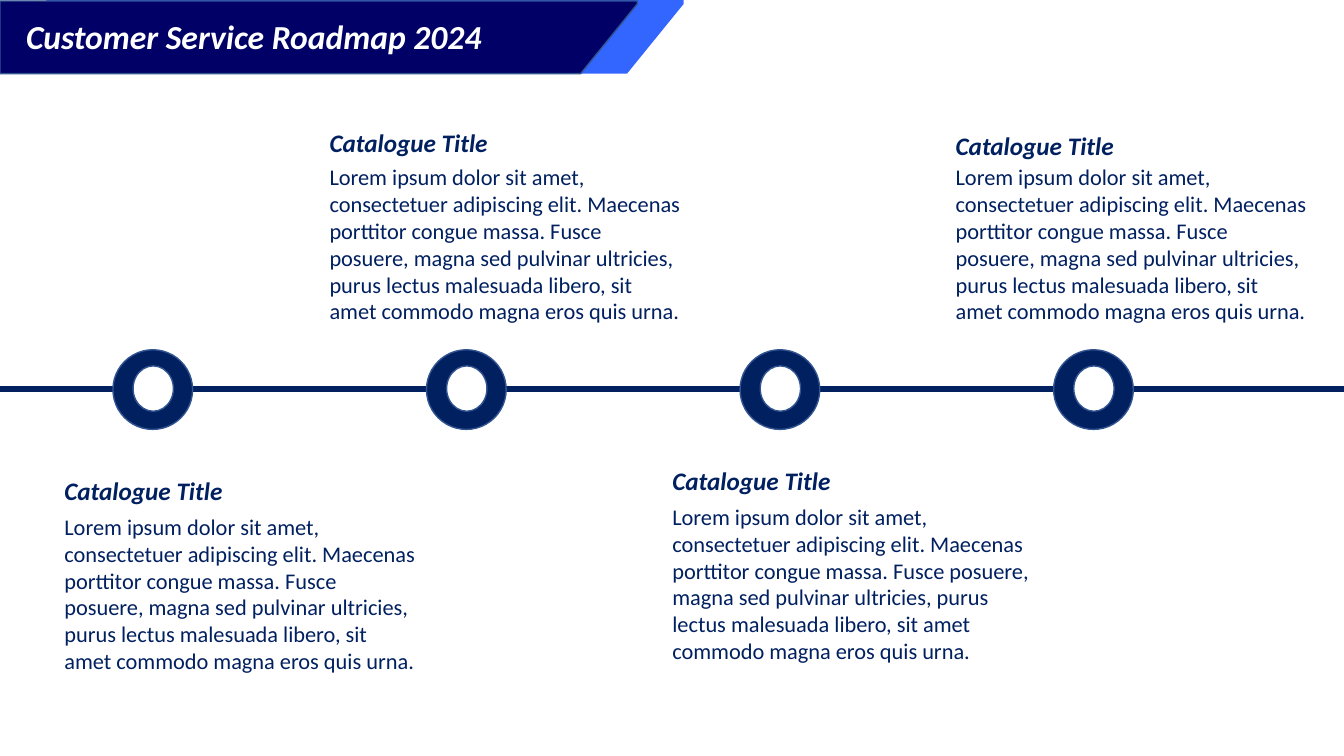
from lxml.etree import SubElement
from pptx import Presentation
from pptx.dml.color import RGBColor
from pptx.enum.shapes import MSO_CONNECTOR, MSO_SHAPE
from pptx.enum.text import MSO_AUTO_SIZE
from pptx.oxml.ns import qn
from pptx.util import Inches, Pt

COLORS = {
    "navy": "002060",
    "banner": "000066",
    "accent": "3366FF",
    "outline": "325491",
    "white": "FFFFFF",
}
BODY = (
    "Lorem ipsum dolor sit amet, consectetuer adipiscing elit. "
    "Maecenas porttitor congue massa. Fusce posuere, magna sed pulvinar "
    "ultricies, purus lectus malesuada libero, sit amet commodo magna eros quis urna."
)
BODY_FORMAT = {"name": "Calibri", "size": Pt(16)}
TITLE_FORMAT = {"name": "Calibri", "size": Pt(18), "bold": True, "italic": True}
HEADING_FORMAT = {**TITLE_FORMAT, "size": Pt(24)}


def paint(shape, fill, outline=None):
    shape.shadow.inherit = False
    shape.fill.solid()
    shape.fill.fore_color.rgb = RGBColor.from_string(COLORS[fill])
    if outline:
        shape.line.color.rgb = RGBColor.from_string(COLORS[outline])
        shape.line.width = Pt(1)
    else:
        shape.line.fill.background()


def add_text(left, top, width, height, text, font_format, color):
    box = slide.shapes.add_textbox(Inches(left), Inches(top), Inches(width), Inches(height))
    box.text_frame.word_wrap = True
    box.text_frame.auto_size = MSO_AUTO_SIZE.SHAPE_TO_FIT_TEXT
    paragraph = box.text_frame.paragraphs[0]
    run = paragraph.add_run()
    run.text = text
    for name, value in font_format.items():
        setattr(run.font, name, value)
    run.font.color.rgb = RGBColor.from_string(COLORS[color])


presentation = Presentation()
presentation.slide_width = Inches(13.33)
presentation.slide_height = Inches(7.5)
slide = presentation.slides.add_slide(presentation.slide_layouts[6])

timeline = slide.shapes.add_connector(
    MSO_CONNECTOR.STRAIGHT, Inches(0), Inches(3.86), Inches(13.33), Inches(3.86)
)
timeline.line.color.rgb = RGBColor.from_string(COLORS["navy"])
timeline.line.width = Pt(4)
SubElement(timeline._element.spPr, qn("a:effectLst"))

for index in range(4):
    left = 1.12 + index * 3.11
    marker = slide.shapes.add_group_shape()
    ring = marker.shapes.add_shape(
        MSO_SHAPE.OVAL, Inches(left), Inches(3.47), Inches(0.79), Inches(0.79)
    )
    paint(ring, "navy", "outline")
    center = marker.shapes.add_shape(
        MSO_SHAPE.OVAL, Inches(left + 0.2), Inches(3.63), Inches(0.4), Inches(0.45)
    )
    paint(center, "white", "outline")

milestones = [
    (0.54, 4.67, 5.04, 3.69),
    (3.17, 1.21, 1.57, 3.7),
    (6.57, 4.57, 4.94, 3.79),
    (9.38, 1.24, 1.57, 3.7),
]
for left, title_top, body_top, body_width in milestones:
    add_text(left, body_top, body_width, 1.99, BODY, BODY_FORMAT, "navy")
    add_text(left, title_top, 1.95, 0.4, "Catalogue Title", TITLE_FORMAT, "navy")

banner = slide.shapes.add_group_shape()
for left, top, fill, outline in [(0.46, 0, "accent", None), (0, 0.01, "banner", "outline")]:
    builder = banner.shapes.build_freeform(Inches(left), Inches(top), scale=1.0)
    corners = [(6.32, top), (6.32, 0.04), (5.76, 0.73), (0, 0.73)]
    builder.add_line_segments([(Inches(left + x), Inches(y)) for x, y in corners], close=True)
    paint(builder.convert_to_shape(), fill, outline)

add_text(0.16, 0.11, 4.93, 0.5, "Customer Service Roadmap 2024", HEADING_FORMAT, "white")

presentation.save("out.pptx")
